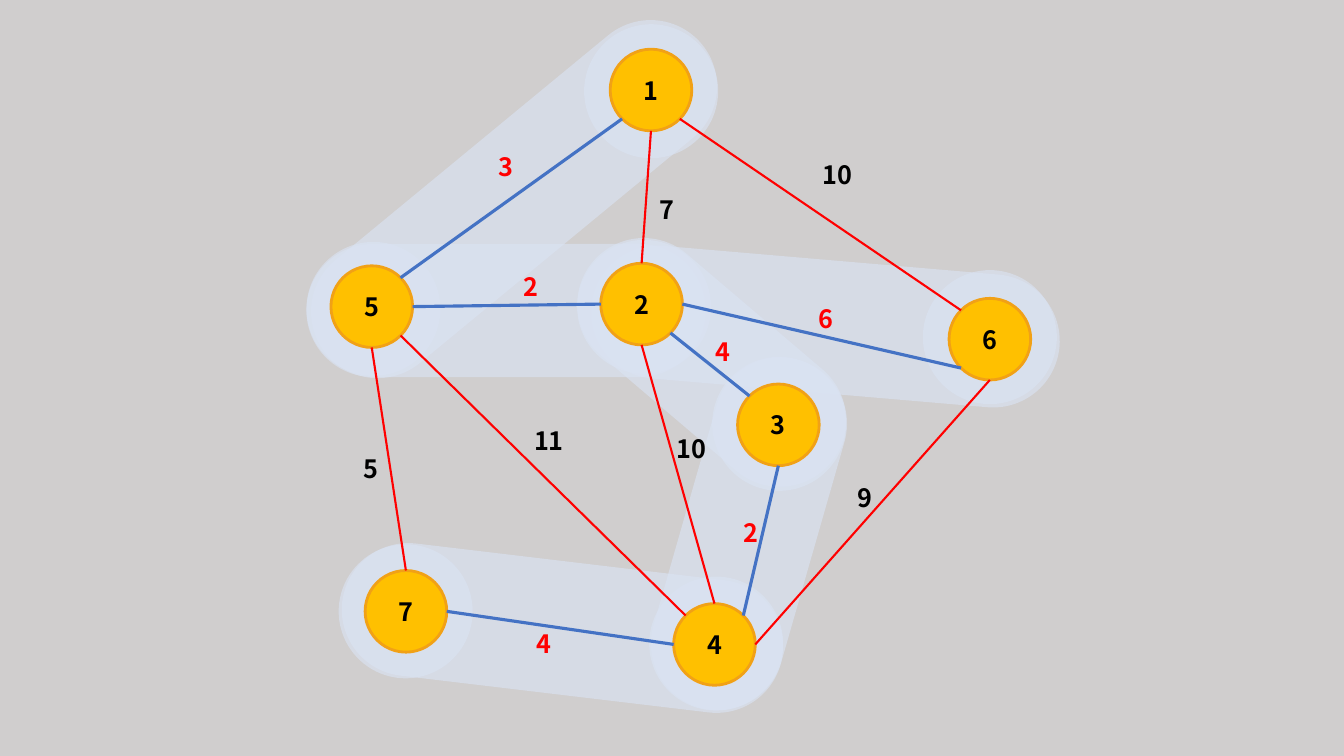
import math
from dataclasses import dataclass

from lxml import etree
from pptx import Presentation, util as u
from pptx.dml.color import RGBColor
from pptx.enum import shapes, text
from pptx.oxml.ns import qn

COLORS = {
    "background": "D0CECE",
    "halo": "DAE3F3",
    "node": "FFC000",
    "rim": "F1A116",
    "tree": "4472C4",
    "rejected": "FF0000",
    "ink": "000000",
    "tree_weight": "FF0000",
}
FONT = "Noto Sans CJK KR"
CELL = u.Inches(0.1)
COLUMNS, ROWS = 133.33, 75
NODE_SIZE, HALO_SIZE, BAND_WIDTH = 8.1, 13.3, 13.2
HALO_OPACITY = 63
COMPASS = {side: 45 * turn for turn, side in enumerate(
    ["E", "SE", "S", "SW", "W", "NW", "N", "NE"])}

NODE_CENTERS = {
    "1": (64.58, 8.93), "6": (98.2, 33.65), "5": (36.88, 30.42),
    "4": (70.88, 63.93), "7": (40.27, 60.65), "3": (77.22, 42.15),
    "2": (63.65, 30.17),
}


@dataclass
class Band:
    center: tuple
    length: float
    angle: float
    halos: list


BANDS = [
    Band((81.9, 32.4), 46.6, 274.9, [(98.2, 33.45)]),
    Band((55.8, 62.3), 44, 276.8, [(40.25, 60.65)]),
    Band((51, 19.75), 48.3, 230.5, [(64.6, 9.05)]),
    Band((50.2, 30.8), 39.6, 270, [(37.05, 30.65)]),
    Band((70.6, 35.95), 30.9, 310.4, [(63.9, 30.45)]),
    Band((74.3, 52.95), 35.9, 196, [(71.05, 63.85), (77.3, 42.05)]),
]


@dataclass
class Edge:
    start: tuple
    end: tuple
    weight: str
    weight_at: tuple
    in_tree: bool


EDGES = [
    Edge(("1", "SE"), ("6", "NW"), "10", (80.6, 15.3), False),
    Edge(("5", "NE"), ("1", "SW"), "3", (48.5, 14.55), True),
    Edge(("2", "E"), ("6", "SW"), "6", (80.2, 29.6), True),
    Edge(("3", "S"), ("4", "NE"), "2", (72.8, 50.8), True),
    Edge(("4", "E"), ("6", "S"), "9", (84.1, 47.35), False),
    Edge(("2", "SE"), ("3", "NW"), "4", (70, 32.9), True),
    Edge(("5", "S"), ("7", "N"), "5", (35.1, 44.5), False),
    Edge(("1", "S"), ("2", "N"), "7", (64.4, 18.8), False),
    Edge(("5", "E"), ("2", "W"), "2", (50.9, 26.4), True),
    Edge(("2", "S"), ("4", "N"), "10", (66.1, 42.5), False),
    Edge(("7", "E"), ("4", "W"), "4", (52.2, 61.8), True),
    Edge(("5", "SE"), ("4", "NW"), "11", (52, 41.7), False),
]


def cells(*counts):
    return [round(count * CELL) for count in counts]


def color(role):
    return RGBColor.from_string(COLORS[role])


def add_filled(slide, preset, center, width, height, role):
    left, top = center[0] - width / 2, center[1] - height / 2
    figure = slide.shapes.add_shape(preset, *cells(left, top, width, height))
    figure.shadow.inherit = False
    figure.fill.solid()
    figure.fill.fore_color.rgb = color(role)
    return figure


def add_halo(slide, preset, center, width, height):
    halo = add_filled(slide, preset, center, width, height, "halo")
    halo.line.fill.background()
    tint = halo.fill._xPr.find(qn("a:solidFill"))[0]
    etree.SubElement(tint, qn("a:alpha")).set("val", str(HALO_OPACITY * 1000))
    return halo


def add_band(slide, band):
    capsule = add_halo(slide, shapes.MSO_SHAPE.ROUNDED_RECTANGLE,
                       band.center, BAND_WIDTH, band.length)
    capsule.adjustments[0] = 0.5
    capsule.rotation = band.angle
    for center in band.halos:
        add_halo(slide, shapes.MSO_SHAPE.OVAL, center, HALO_SIZE, HALO_SIZE)


def write(frame, words, role):
    paragraph = frame.paragraphs[0]
    paragraph.text = words
    paragraph.font.name = FONT
    paragraph.font.size = u.Pt(18)
    paragraph.font.bold = True
    paragraph.font.color.rgb = color(role)
    return paragraph


def add_node(slide, number, center):
    node = add_filled(slide, shapes.MSO_SHAPE.OVAL, center,
                      NODE_SIZE, NODE_SIZE, "node")
    node.line.color.rgb = color("rim")
    node.line.width = u.Pt(2)
    node.text_frame.vertical_anchor = text.MSO_ANCHOR.MIDDLE
    write(node.text_frame, number, "ink").alignment = text.PP_ALIGN.CENTER


def rim_point(number, side):
    x, y = NODE_CENTERS[number]
    angle = math.radians(COMPASS[side])
    return cells(x + NODE_SIZE / 2 * math.cos(angle),
                 y + NODE_SIZE / 2 * math.sin(angle))


def add_edge(slide, edge):
    link = slide.shapes.add_connector(
        shapes.MSO_CONNECTOR.STRAIGHT,
        *rim_point(*edge.start), *rim_point(*edge.end))
    link.line.color.rgb = color("tree" if edge.in_tree else "rejected")
    link.line.width = u.Pt(2.25 if edge.in_tree else 1.5)
    etree.SubElement(link._element.spPr, qn("a:effectLst"))


def add_weight(slide, edge):
    width = 1.8 + 1.7 * len(edge.weight)
    label = slide.shapes.add_textbox(*cells(*edge.weight_at, width, 4))
    label.text_frame.word_wrap = False
    label.text_frame.auto_size = text.MSO_AUTO_SIZE.SHAPE_TO_FIT_TEXT
    write(label.text_frame, edge.weight,
          "tree_weight" if edge.in_tree else "ink")


def main():
    deck = Presentation()
    deck.slide_width, deck.slide_height = cells(COLUMNS, ROWS)
    slide = deck.slides.add_slide(deck.slide_layouts[6])
    slide.background.fill.solid()
    slide.background.fill.fore_color.rgb = color("background")

    for band in BANDS:
        add_band(slide, band)
    for number, center in NODE_CENTERS.items():
        add_node(slide, number, center)
    for edge in EDGES:
        add_edge(slide, edge)
    for edge in EDGES:
        add_weight(slide, edge)

    deck.save("out.pptx")


if __name__ == "__main__":
    main()
